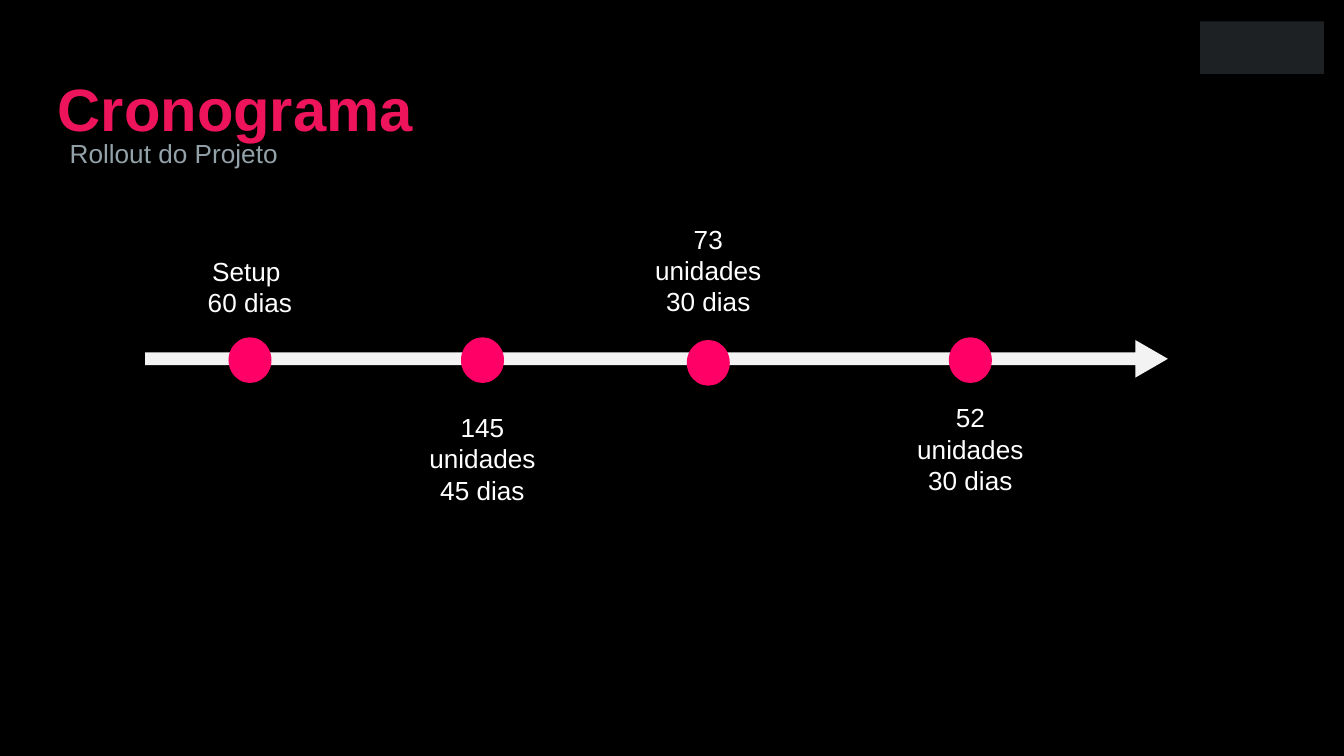
from pptx import Presentation
from pptx.dml.color import RGBColor
from pptx.enum.shapes import MSO_SHAPE
from pptx.enum.text import MSO_ANCHOR, PP_ALIGN
from pptx.util import Pt

RECT, ARROW, OVAL = MSO_SHAPE.RECTANGLE, MSO_SHAPE.RIGHT_ARROW, MSO_SHAPE.OVAL
TOP, MIDDLE = MSO_ANCHOR.TOP, MSO_ANCHOR.MIDDLE
LEFT, CENTER = PP_ALIGN.LEFT, PP_ALIGN.CENTER

DOT_W, DOT_H = 23.04, 24.48
LABEL_W = 90
MILESTONES = [
    (133.92, 180.72, 133.2, 41.04, ["Setup ", "60 dias"]),
    (258.48, 180.72, 216.72, 58.32, ["145 unidades", "45 dias"]),
    (379.44, 182.16, 115.92, 58.32, ["73 unidades", "30 dias"]),
    (519.84, 180.72, 211.68, 58.32, ["52 unidades", "30 dias"]),
]


def color(hex_value):
    """Turn a hex string into a colour."""
    return RGBColor.from_string(hex_value)


def add_filled(s, kind, box, fill):
    """Add a flat preset shape without an outline."""
    sp = s.shapes.add_shape(kind, *map(Pt, box))
    sp.shadow.inherit = False
    sp.fill.solid()
    sp.fill.fore_color.rgb = color(fill)
    sp.line.fill.background()
    return sp


def write(sp, lines, size, hex_value, bold=False, align=LEFT, anchor=TOP,
          inset=(7.2, 3.6), spacing=1):
    """Write formatted paragraphs into a shape."""
    tf = sp.text_frame
    x, y = map(Pt, inset)
    frame = {"word_wrap": True, "vertical_anchor": anchor, "margin_left": x,
             "margin_right": x, "margin_top": y, "margin_bottom": y}
    for name, value in frame.items():
        setattr(tf, name, value)
    tf.text = "\n".join(lines)
    for p in tf.paragraphs:
        p.alignment, p.line_spacing = align, spacing
        r = p.runs[0]
        for name, value in {"name": "Arial", "size": Pt(size), "bold": bold}.items():
            setattr(r.font, name, value)
        r.font.color.rgb = color(hex_value)


def add_text(s, box, lines, size, hex_value, **formats):
    """Add a text box with formatted lines."""
    write(s.shapes.add_textbox(*map(Pt, box)), lines, size, hex_value, **formats)


def add_header(s, left, top, width, height):
    """Place the title, the subtitle and the corner block."""
    add_filled(s, RECT, (left + width - 66.24, top, 66.24, 28.08), "1E2123")
    title = s.shapes.title
    place = {"left": left, "top": top + 10.8, "width": 450.72, "height": 51.12}
    for name, value in place.items():
        setattr(title, name, Pt(value))
    write(title, ["Cronograma"], 32, "ED145B", bold=True, anchor=MIDDLE,
          inset=(5.04, 2.88), spacing=1.5)
    add_text(s, (left + 4.32, top + height - 24.48, width - 4.32, 24.48),
             ["Rollout do Projeto"], 14, "93A2A9")


def add_timeline(s, left, top, width, height):
    """Place the arrow with its milestones and their labels."""
    arrow = add_filled(s, ARROW, (left, top, width, height), "F3F3F3")
    arrow.adjustments[0], arrow.adjustments[1] = 0.339, 0.865
    for x, dot_y, label_y, label_h, lines in MILESTONES:
        add_filled(s, OVAL, (x - DOT_W / 2, dot_y, DOT_W, DOT_H), "FF0066")
        add_text(s, (x - LABEL_W / 2, label_y, LABEL_W, label_h), lines, 14,
                 "FFFFFF", align=CENTER)


def main():
    """Build and save the slide."""
    prs = Presentation()
    prs.slide_width, prs.slide_height = Pt(720), Pt(405)
    s = prs.slides.add_slide(prs.slide_layouts[5])
    s.background.fill.solid()
    s.background.fill.fore_color.rgb = color("000000")
    add_header(s, 25.92, 11.52, 683.28, 82.8)
    add_timeline(s, 77.76, 182.16, 547.92, 20.16)
    prs.save("out.pptx")


if __name__ == "__main__":
    main()
